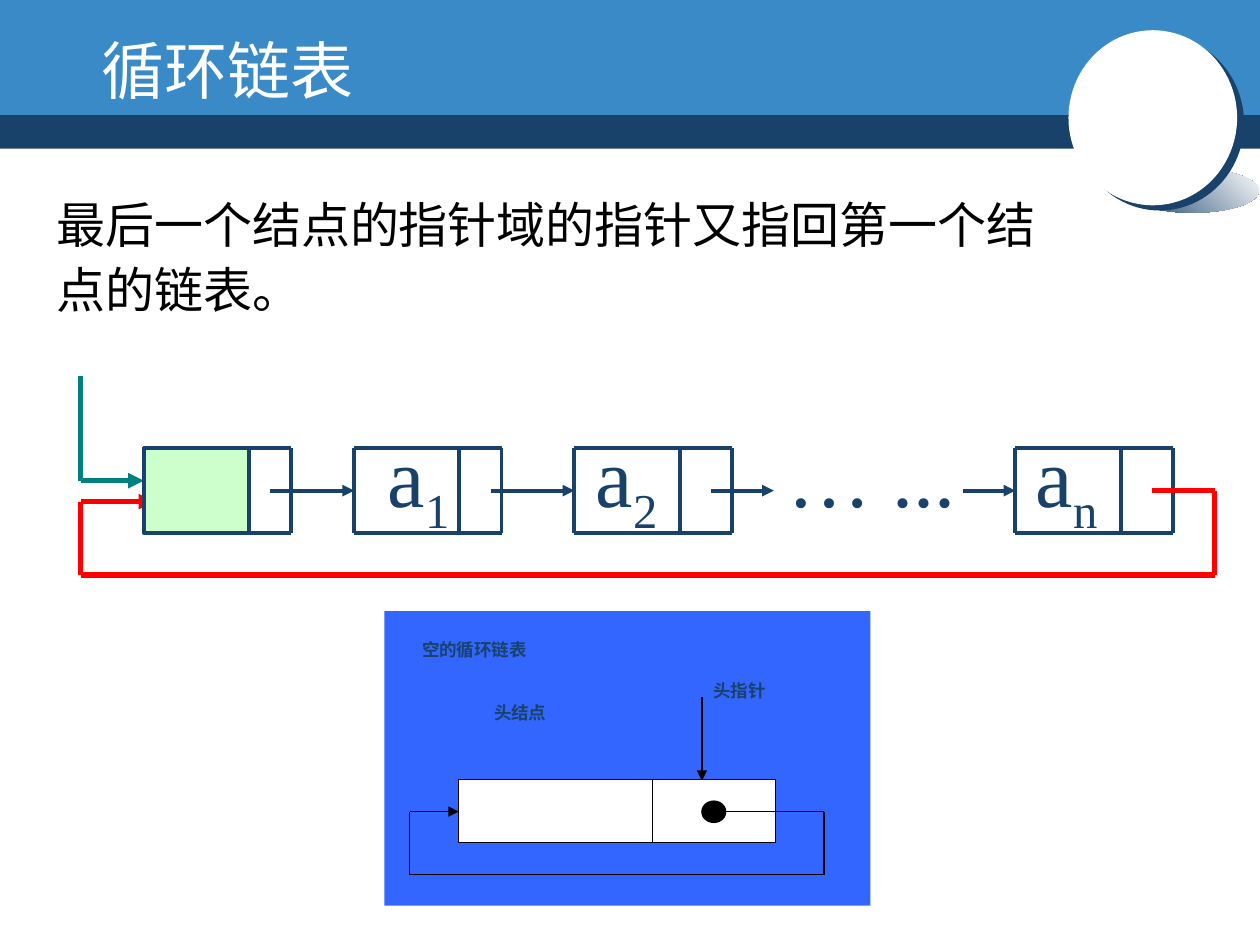
from itertools import pairwise

from lxml.etree import SubElement
from pptx import Presentation
from pptx.dml.color import RGBColor
from pptx.enum.shapes import MSO_CONNECTOR, MSO_SHAPE
from pptx.enum.text import PP_ALIGN
from pptx.oxml.ns import qn
from pptx.util import Cm, Pt

NAVY = RGBColor(0x19, 0x42, 0x6B)
SKY = RGBColor(0x39, 0x8A, 0xC7)
WHITE = RGBColor(0xFF, 0xFF, 0xFF)
BLACK = RGBColor(0, 0, 0)
TEAL = RGBColor(0, 0x80, 0x80)
RED = RGBColor(0xFF, 0, 0)
MINT = RGBColor(0xCC, 0xFF, 0xCC)
BLUE = RGBColor(0x33, 0x66, 0xFF)
FONT = "Times New Roman"


def add_block(page, kind, left, top, width, height, fill=None, line=None, weight=0.75):
    """Add a preset shape without a shadow; lengths are in centimetres."""
    block = page.shapes.add_shape(kind, Cm(left), Cm(top), Cm(width), Cm(height))
    block.shadow.inherit = False
    if fill is not None:
        block.fill.solid()
        block.fill.fore_color.rgb = fill
    if line is None:
        block.line.fill.background()
    else:
        block.line.color.rgb = line
        block.line.width = Pt(weight)
    return block


def add_route(page, origin, points, color, weight, arrow=False):
    """Join points, relative to origin, with lines; the last may end in an arrowhead."""
    left, top = origin
    for (x1, y1), (x2, y2) in pairwise(points):
        line = page.shapes.add_connector(
            MSO_CONNECTOR.STRAIGHT,
            Cm(left + x1), Cm(top + y1), Cm(left + x2), Cm(top + y2))
        line.line.color.rgb = color
        line.line.width = Pt(weight)
        SubElement(line.element.spPr, qn("a:effectLst"))
    if arrow:
        SubElement(line.line._get_or_add_ln(), qn("a:tailEnd"), type="triangle")


def add_text(page, left, top, width, height, wrap=True):
    """Add an empty text box and return its frame and first paragraph."""
    box = page.shapes.add_textbox(Cm(left), Cm(top), Cm(width), Cm(height))
    box.text_frame.word_wrap = wrap
    return box.text_frame, box.text_frame.paragraphs[0]


def add_span(para, text, size, color, bold=False, baseline=0):
    """Add one run; baseline is a percentage, negative for a subscript."""
    span = para.add_run()
    span.text = text
    span.font.size = Pt(size)
    span.font.name = FONT
    span.font.color.rgb = color
    span.font.bold = bold
    if baseline:
        span._r.get_or_add_rPr().set("baseline", str(baseline * 1000))


def draw_header(page, width):
    """Draw the title bands, the disc at the right and the title."""
    add_block(page, MSO_SHAPE.RECTANGLE, 0, 2.13, width, 0.87, NAVY)
    add_block(page, MSO_SHAPE.RECTANGLE, 0, 0, width, 2.32, SKY)

    glow = add_block(page, MSO_SHAPE.OVAL, width - 2.69, 3.4, 2.67, 0.89)
    glow.fill.gradient()
    glow.fill.gradient_angle = 45
    for stop, color in zip(glow.fill.gradient_stops, (NAVY, WHITE)):
        stop.color.rgb = color

    disc = add_block(page, MSO_SHAPE.OVAL, width - 3.86, 0.61, 3.4, 3.53, WHITE)
    shadow = SubElement(disc.element.spPr.find(qn("a:effectLst")), qn("a:outerShdw"),
                        blurRad="0", dist=str(Pt(5)), dir=str(37 * 60000),
                        algn="ctr", rotWithShape="0")
    SubElement(shadow, qn("a:srgbClr"), val=str(NAVY))

    _, para = add_text(page, 1.8, 0.51, 5.59, 1.78, wrap=False)
    add_span(para, "循环链表", 36, WHITE)


def draw_definition(page, left, top, width, height):
    """Write the definition of the list."""
    _, para = add_text(page, left, top, width, height)
    para.line_spacing = 1.1
    add_span(para, "最后一个结点的指针域的指针又指回第一个结点的链表。", 28, BLACK)


def draw_chain_labels(page, left, top):
    """Write the node names in one line, spaced by tab stops."""
    frame, para = add_text(page, left, top, 19.25, 3.3)
    frame.margin_left = Cm(1.55)
    tabs = SubElement(para._p.get_or_add_pPr(), qn("a:tabLst"))
    for stop in (4.19, 8.05, 13.06):
        SubElement(tabs, qn("a:tab"), pos=str(Cm(stop)), algn="l")
    for text, baseline in (("a", 0), ("1", -25), ("\ta", 0), ("2", -25),
                           ("\t… ...\ta", 0), ("n", -25)):
        add_span(para, text, 48, NAVY, baseline=baseline)


def draw_chain(page, left, top):
    """Draw the circular list with its nodes, pointers and return path."""
    origin = (left, top)
    width, bottom = 22.86, 4.02
    node_top, node_bottom, middle = 1.47, 3.17, 2.32
    data_width = 2.12
    nodes = [(1.27, 2.97), (5.51, 2.97), (9.95, 3.18), (18.84, 3.18)]
    pointers = [(3.81, 5.51), (8.26, 9.95), (12.7, 13.97), (17.78, 18.84)]

    draw_chain_labels(page, left + 4.64, top + 0.84)
    for x, node_width in nodes:
        right = x + node_width
        frame = [(x, node_top), (right, node_top), (right, node_bottom),
                 (x, node_bottom), (x, node_top)]
        add_route(page, origin, frame, NAVY, 2.25)
        divider = x + data_width
        add_route(page, origin, [(divider, node_top), (divider, node_bottom)], NAVY, 2.25)
    for start, end in pointers:
        add_route(page, origin, [(start, middle), (end, middle)], NAVY, 2.25, arrow=True)

    add_route(page, origin, [(0, 0), (0, 2.12), (1.27, 2.12)], TEAL, 3, arrow=True)
    add_route(page, origin, [(21.59, middle), (width, middle), (width, bottom),
                             (0, bottom), (0, 2.54), (1.48, 2.54)], RED, 3, arrow=True)
    add_block(page, MSO_SHAPE.RECTANGLE, left + nodes[0][0], top + node_top,
              data_width, node_bottom - node_top, MINT, NAVY, 2.25)


def draw_empty_list(page, left, top):
    """Draw the panel that shows an empty circular list."""
    origin = (left, top)
    add_block(page, MSO_SHAPE.RECTANGLE, left, top, 9.8, 5.94, BLUE)
    add_route(page, origin, [(6.4, 1.73), (6.4, 3.42)], BLACK, 0.75, arrow=True)
    add_block(page, MSO_SHAPE.RECTANGLE, left + 1.5, top + 3.4, 6.38, 1.27, WHITE, BLACK)
    add_route(page, origin, [(5.41, 3.4), (5.41, 4.67)], BLACK, 0.75)
    add_block(page, MSO_SHAPE.OVAL, left + 6.4, top + 3.83, 0.48, 0.43, BLACK, BLACK)
    add_route(page, origin, [(6.88, 4.04), (8.86, 4.04), (8.86, 5.31), (0.51, 5.31),
                             (0.51, 4.04), (1.5, 4.04)], BLACK, 0.75, arrow=True)
    for text, x, y, label_width in (("头指针", 6.38, 1.27, 2.95),
                                    ("空的循环链表", 0.51, 0.43, 4.42),
                                    ("头结点", 1.96, 1.7, 2.95)):
        _, para = add_text(page, left + x, top + y, label_width, 1.5)
        para.alignment = PP_ALIGN.JUSTIFY
        add_span(para, text, 10, NAVY, bold=True)


def main():
    """Build and save the slide."""
    deck = Presentation()
    deck.slide_width, deck.slide_height = Cm(25.4), Cm(19.05)
    page = deck.slides.add_slide(deck.slide_layouts[6])
    draw_header(page, 25.4)
    draw_definition(page, 0.89, 3.68, 20.96, 2.87)
    draw_chain(page, 1.63, 7.57)
    draw_empty_list(page, 7.75, 12.32)
    deck.save("out.pptx")


main()
